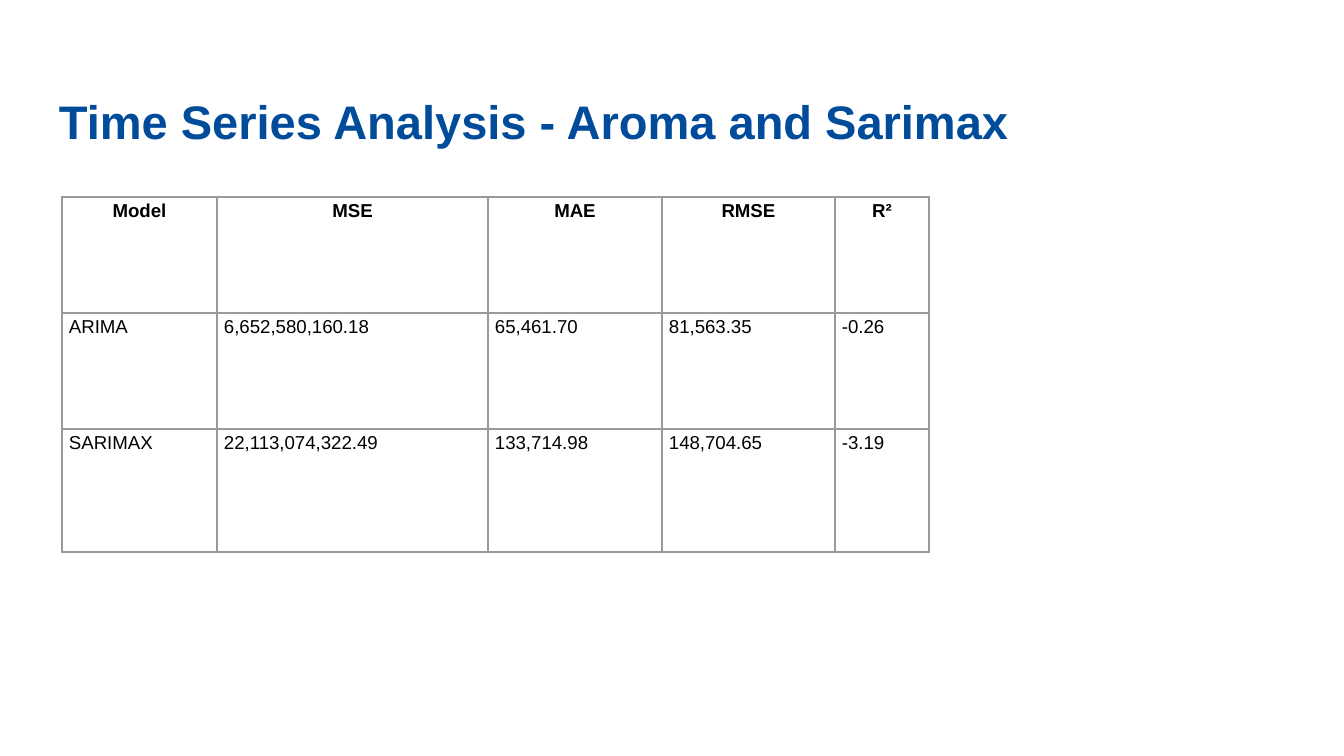
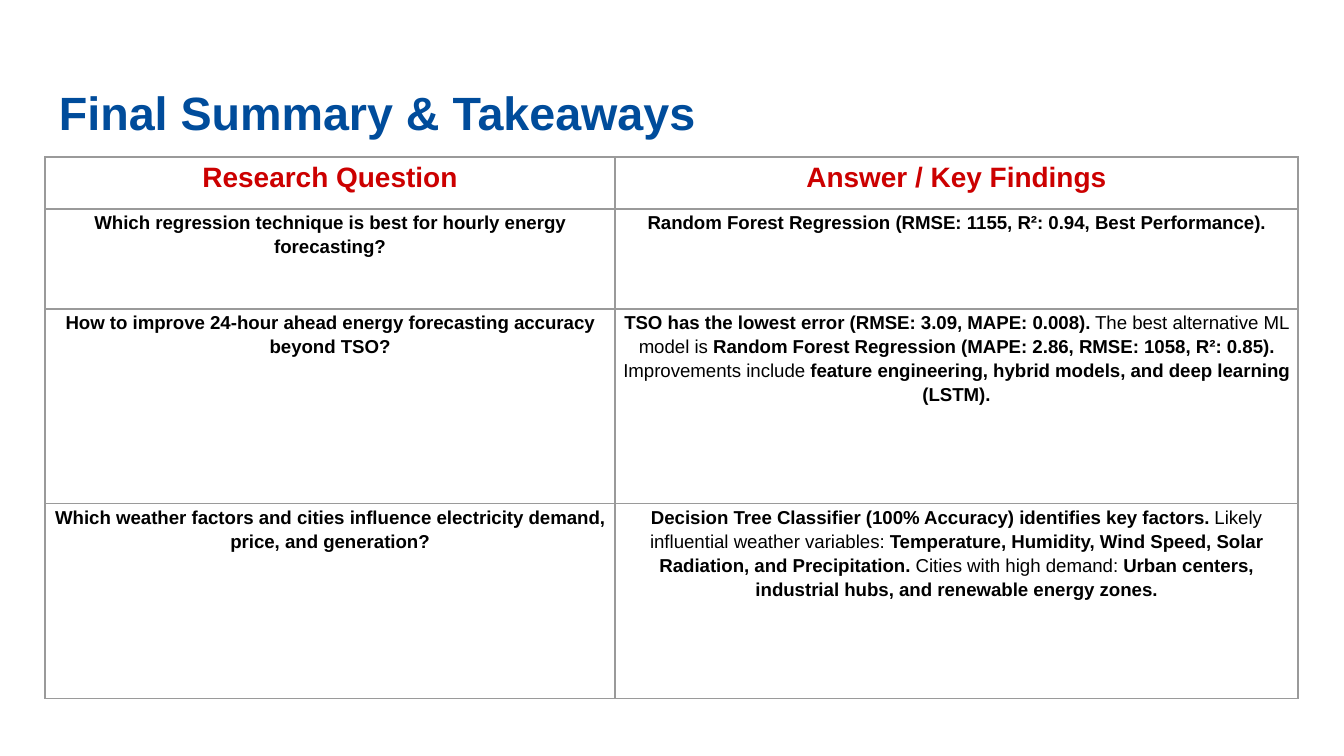
from lxml.etree import SubElement
from pptx import Presentation
from pptx.dml.color import RGBColor
from pptx.enum.text import MSO_ANCHOR, PP_ALIGN
from pptx.oxml.ns import qn
from pptx.util import Pt

PX = 914400 / 134.4
FONT = "Arial"
COLORS = {"title": "004C9B", "head": "CC0000", "text": "000000", "rule": "9A9A9A"}
LEFT, CENTER = PP_ALIGN.LEFT, PP_ALIGN.CENTER

SLIDES = [
    {
        "title": "Time Series Analysis - Aroma and Sarimax",
        "title_format": {"size": 25.2, "spacing": 1.15},
        "at": (62, 197),
        "cols": [155, 271, 174, 173, 94],
        "rows": [116, 116, 123],
        "head": {"align": CENTER, "bold": True},
        "body": {"align": LEFT},
        "cells": [
            ["Model", "MSE", "MAE", "RMSE", "R²"],
            ["ARIMA", "6,652,580,160.18", "65,461.70", "81,563.35", "-0.26"],
            ["SARIMAX", "22,113,074,322.49", "133,714.98", "148,704.65", "-3.19"],
        ],
    },
    {
        "title": "Final Summary & Takeaways",
        "title_format": {"size": 25, "spacing": 1},
        "at": (45, 157),
        "cols": [570, 683],
        "rows": [52, 100, 195, 195],
        "head": {"align": CENTER, "bold": True, "size": 15, "color": "head"},
        "body": {"align": CENTER, "bold": True},
        "cells": [
            ["Research Question", "Answer / Key Findings"],
            [
                "Which regression technique is best for hourly energy forecasting?",
                "Random Forest Regression (RMSE: 1155, R²: 0.94, Best Performance).",
            ],
            [
                "How to improve 24-hour ahead energy forecasting accuracy beyond TSO?",
                (
                    "TSO has the lowest error (RMSE: 3.09, MAPE: 0.008).",
                    " The best alternative ML model is ",
                    "Random Forest Regression (MAPE: 2.86, RMSE: 1058, R²: 0.85).",
                    " Improvements include ",
                    "feature engineering, hybrid models, and deep learning (LSTM).",
                ),
            ],
            [
                "Which weather factors and cities influence electricity demand, price, and generation?",
                (
                    "Decision Tree Classifier (100% Accuracy) identifies key factors.",
                    " Likely influential weather variables: ",
                    "Temperature, Humidity, Wind Speed, Solar Radiation, and Precipitation.",
                    " Cities with high demand: ",
                    "Urban centers, industrial hubs, and renewable energy zones.",
                ),
            ],
        ],
    },
]


def px(n):
    return round(n * PX)


def write(tf, text, size=10, color="text", bold=False, align=LEFT, spacing=1.15):
    tf.word_wrap = True
    p = tf.paragraphs[0]
    p.alignment = align
    p.line_spacing = float(spacing)
    parts = (text,) if isinstance(text, str) else text
    for i, part in enumerate(parts):
        r = p.add_run()
        r.text = part
        r.font.name = FONT
        r.font.size = Pt(size)
        r.font.bold = bold if i % 2 == 0 else not bold
        r.font.color.rgb = RGBColor.from_string(COLORS[color])


def add_title(s, text, **fmt):
    tf = s.shapes.add_textbox(px(46), px(66), px(1253), px(85)).text_frame
    tf.margin_left = tf.margin_right = tf.margin_bottom = px(13)
    tf.margin_top = px(18)
    tf.vertical_anchor = MSO_ANCHOR.TOP
    write(tf, text, color="title", bold=True, **fmt)


def style_cell(cell):
    cell.margin_left = cell.margin_right = px(7)
    cell.margin_top = cell.margin_bottom = px(1)
    cell.vertical_anchor = MSO_ANCHOR.TOP
    tc_pr = cell._tc.get_or_add_tcPr()
    for side in ("lnL", "lnR", "lnT", "lnB"):
        ln = SubElement(tc_pr, qn(f"a:{side}"), w=str(Pt(0.75)))
        fill = SubElement(ln, qn("a:solidFill"))
        SubElement(fill, qn("a:srgbClr"), val=COLORS["rule"])
    cell.fill.background()


def add_grid(s, spec):
    cols, rows = spec["cols"], spec["rows"]
    x, y = spec["at"]
    table = s.shapes.add_table(
        len(rows), len(cols), px(x), px(y), px(sum(cols)), px(sum(rows))
    ).table
    table.first_row = table.horz_banding = False
    for col, width in zip(table.columns, cols):
        col.width = px(width)
    for row, height in zip(table.rows, rows):
        row.height = px(height)
    for i, texts in enumerate(spec["cells"]):
        for j, text in enumerate(texts):
            cell = table.cell(i, j)
            style_cell(cell)
            write(cell.text_frame, text, **spec["body" if i else "head"])


def main():
    prs = Presentation()
    prs.slide_width, prs.slide_height = px(1344), px(756)
    for spec in SLIDES:
        s = prs.slides.add_slide(prs.slide_layouts[6])
        add_title(s, spec["title"], **spec["title_format"])
        add_grid(s, spec)
    prs.save("out.pptx")


if __name__ == "__main__":
    main()
